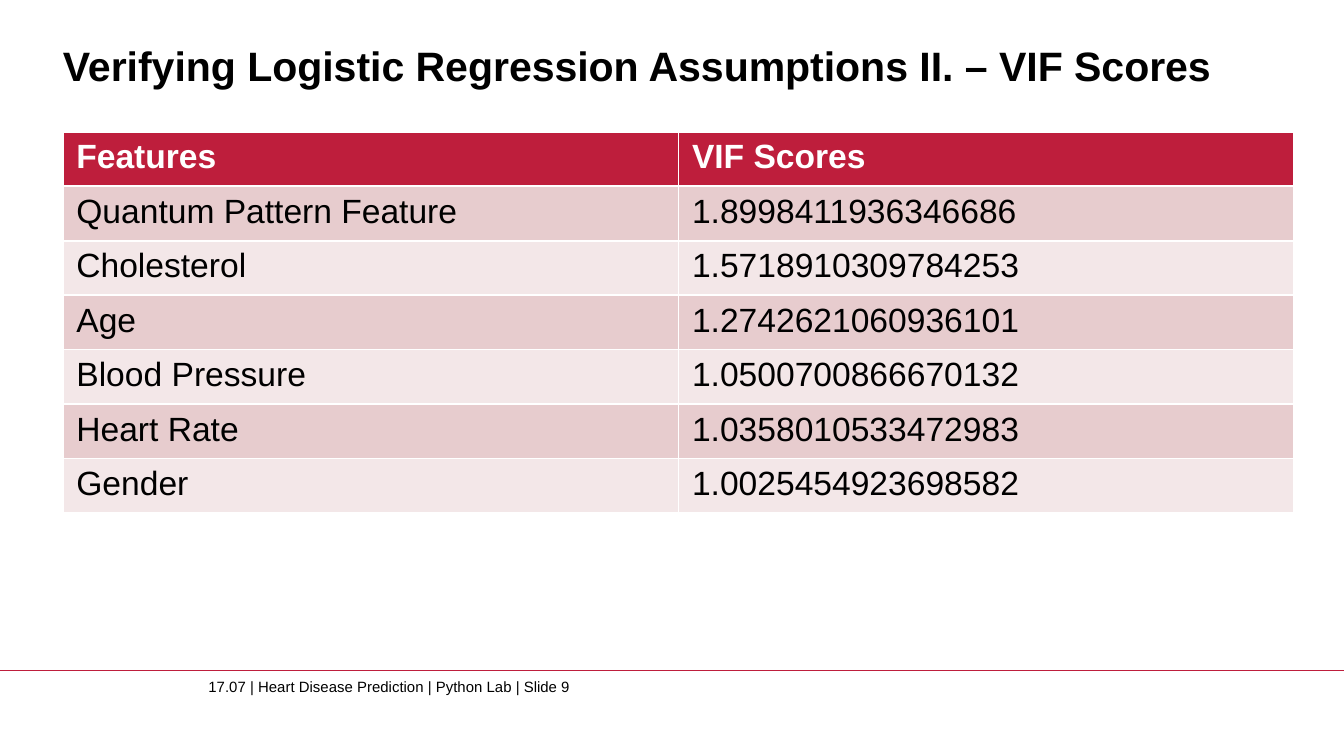
from lxml.etree import SubElement
from pptx import Presentation
from pptx.dml.color import RGBColor
from pptx.enum.shapes import MSO_CONNECTOR
from pptx.enum.text import MSO_ANCHOR, MSO_AUTO_SIZE, PP_ALIGN
from pptx.oxml.ns import qn
from pptx.util import Cm, Pt

COLOURS = {
    "accent": "BE1E3C",
    "band_dark": "E7CCCE",
    "band_light": "F3E7E8",
    "text": "000000",
    "white": "FFFFFF",
}
VIF_SCORES = [
    ("Features", "VIF Scores"),
    ("Quantum Pattern Feature", "1.8998411936346686"),
    ("Cholesterol", "1.5718910309784253"),
    ("Age", "1.2742621060936101"),
    ("Blood Pressure", "1.0500700866670132"),
    ("Heart Rate", "1.0358010533472983"),
    ("Gender", "1.0025454923698582"),
]
LEFT, WIDTH = Cm(1.19), Cm(23.27)
ROW_HEIGHT = Cm(1.03)


def colour(name):
    return RGBColor.from_string(COLOURS[name])


def write_text(frame, text, size, color="text", bold=False):
    paragraph = frame.paragraphs[0]
    paragraph.alignment = PP_ALIGN.LEFT
    run = paragraph.add_run()
    run.text = text
    run.font.name = "Arial"
    run.font.size = Pt(size)
    run.font.bold = bold
    run.font.color.rgb = colour(color)


def prepare_frame(frame, anchor):
    """Wrap the text without margins or automatic fitting."""
    frame.word_wrap = True
    frame.auto_size = MSO_AUTO_SIZE.NONE
    frame.vertical_anchor = anchor
    frame.margin_left = frame.margin_right = 0
    frame.margin_top = frame.margin_bottom = 0


def add_title(slide, text):
    title = slide.shapes.title
    title.left, title.top = LEFT, Cm(0.23)
    title.width, title.height = WIDTH, Cm(1.47)
    prepare_frame(title.text_frame, MSO_ANCHOR.BOTTOM)
    write_text(title.text_frame, text, size=22, bold=True)


def add_footer(slide, text, slide_width):
    rule_top = Cm(12.67)
    rule = slide.shapes.add_connector(
        MSO_CONNECTOR.STRAIGHT, 0, rule_top, slide_width, rule_top)
    rule.line.color.rgb = colour("accent")
    rule.line.width = Pt(0.75)
    SubElement(rule._element.spPr, qn("a:effectLst"))

    footer = slide.shapes.add_textbox(Cm(3.94), Cm(12.8), Cm(12.37), Cm(0.69))
    prepare_frame(footer.text_frame, MSO_ANCHOR.TOP)
    write_text(footer.text_frame, text, size=8)


def add_cell_borders(cell):
    properties = cell._tc.get_or_add_tcPr()
    for index, side in enumerate(("lnL", "lnR", "lnT", "lnB")):
        border = properties.makeelement(qn(f"a:{side}"), {"w": str(Pt(0.96))})
        fill = SubElement(border, qn("a:solidFill"))
        SubElement(fill, qn("a:srgbClr"), val=COLOURS["white"])
        properties.insert(index, border)


def add_score_table(slide, scores):
    row_count, column_count = len(scores), len(scores[0])
    table = slide.shapes.add_table(
        row_count, column_count, LEFT, Cm(2.49), WIDTH,
        ROW_HEIGHT * row_count).table
    for row_index, values in enumerate(scores):
        is_header = row_index == 0
        band = "band_dark" if row_index % 2 else "band_light"
        for column_index, value in enumerate(values):
            cell = table.cell(row_index, column_index)
            cell.fill.solid()
            cell.fill.fore_color.rgb = colour("accent" if is_header else band)
            add_cell_borders(cell)
            write_text(cell.text_frame, value, size=18, bold=is_header,
                       color="white" if is_header else "text")


def main():
    presentation = Presentation()
    presentation.slide_width, presentation.slide_height = Cm(25.4), Cm(14.29)
    slide = presentation.slides.add_slide(presentation.slide_layouts[5])
    add_footer(slide, "17.07 | Heart Disease Prediction | Python Lab | Slide 9",
               presentation.slide_width)
    add_title(slide, "Verifying Logistic Regression Assumptions II. – VIF Scores")
    add_score_table(slide, VIF_SCORES)
    presentation.save("out.pptx")


if __name__ == "__main__":
    main()
